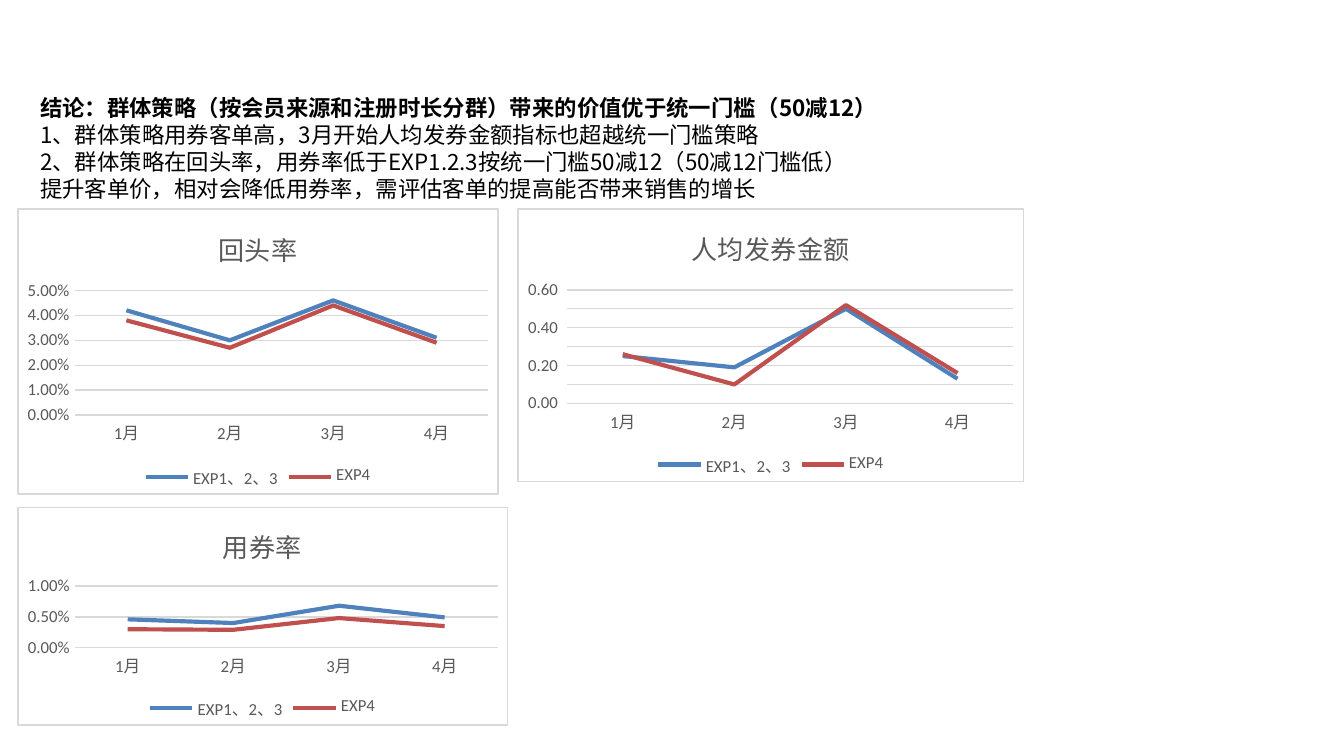
from lxml import etree
from pptx import Presentation
from pptx.chart.data import CategoryChartData
from pptx.dml.color import RGBColor
from pptx.enum.chart import XL_CHART_TYPE, XL_LEGEND_POSITION, XL_TICK_MARK
from pptx.enum.text import MSO_AUTO_SIZE
from pptx.oxml import parse_xml
from pptx.oxml.ns import nsdecls, qn
from pptx.util import Inches, Pt

BLACK = RGBColor(0x00, 0x00, 0x00)
GRAY = RGBColor(0x59, 0x59, 0x59)
LIGHT_GRAY = RGBColor(0xD9, 0xD9, 0xD9)
WHITE = RGBColor(0xFF, 0xFF, 0xFF)
BLUE = RGBColor(0x4F, 0x81, 0xBD)
RED = RGBColor(0xC0, 0x50, 0x4D)
TEXT_FONT = "Noto Sans CJK SC"
CHART_FONT = "Calibri"
SLIDE_WIDTH = Inches(10)
SLIDE_HEIGHT = SLIDE_WIDTH * 9 // 16

CONCLUSIONS = [
    "结论：群体策略（按会员来源和注册时长分群）带来的价值优于统一门槛（50减12）",
    "1、群体策略用券客单高，3月开始人均发券金额指标也超越统一门槛策略",
    "2、群体策略在回头率，用券率低于EXP1.2.3按统一门槛50减12（50减12门槛低）",
    "提升客单价，相对会降低用券率，需评估客单的提高能否带来销售的增长",
]
CONCLUSIONS_BOX = (0.2, 0.65, 9.15, 0.91)
MONTHS = ["1月", "2月", "3月", "4月"]
GROUPS = [("EXP1、2、3", BLUE), ("EXP4", RED)]
LEFT_COLUMN, RIGHT_COLUMN = 0.13, 3.85
TOP_ROW, BOTTOM_ROW = 1.55, 3.77
COUPON_USE = {
    "title": "用券率", "box": (LEFT_COLUMN, BOTTOM_ROW, 3.65, 1.63),
    "format": "0.00%", "maximum": 0.01, "unit": 0.005,
    "values": [(0.0046, 0.004, 0.0068, 0.0049), (0.003, 0.0029, 0.0048, 0.0035)],
}
RETURN_RATE = {
    "title": "回头率", "box": (LEFT_COLUMN, TOP_ROW, 3.58, 2.13),
    "format": "0.00%", "maximum": 0.05, "unit": 0.01,
    "values": [(0.042, 0.03, 0.046, 0.031), (0.038, 0.027, 0.044, 0.029)],
}
COUPON_AMOUNT = {
    "title": "人均发券金额", "box": (RIGHT_COLUMN, TOP_ROW, 3.77, 2.04),
    "format": "0.00_ ", "maximum": 0.6, "unit": 0.1,
    "values": [(0.25, 0.19, 0.5, 0.13), (0.26, 0.1, 0.52, 0.16)],
}


def set_attributes(target, values):
    for name, value in values.items():
        setattr(target, name, value)


def style_font(font, size, color, name=CHART_FONT, bold=False):
    set_attributes(font, {"name": name, "size": Pt(size), "bold": bold})
    font.color.rgb = color


def style_line(line, color, width):
    line.color.rgb = color
    line.width = Pt(width)


def frame_chart(chart):
    frame = parse_xml(
        f'<c:spPr {nsdecls("c", "a")}>'
        f'<a:solidFill><a:srgbClr val="{WHITE}"/></a:solidFill>'
        f'<a:ln w="{Pt(0.75)}"><a:solidFill><a:srgbClr val="{LIGHT_GRAY}"/>'
        '</a:solidFill></a:ln></c:spPr>'
    )
    chart.element.find(qn("c:txPr")).addprevious(frame)


def add_line_chart(slide, details):
    data = CategoryChartData(number_format=details["format"])
    data.categories = MONTHS
    for (name, _), values in zip(GROUPS, details["values"]):
        data.add_series(name, values)
    box = [Inches(length) for length in details["box"]]
    chart = slide.shapes.add_chart(XL_CHART_TYPE.LINE, *box, data).chart
    style_font(chart.font, 10, BLACK)
    frame_chart(chart)

    title_frame = chart.chart_title.text_frame
    title_frame.text = details["title"]
    style_font(title_frame.paragraphs[0].runs[0].font, 14, GRAY)

    chart.has_legend = True
    set_attributes(chart.legend, {
        "position": XL_LEGEND_POSITION.BOTTOM, "include_in_layout": False})
    style_font(chart.legend.font, 9, GRAY)

    value_axis = chart.value_axis
    for axis in (chart.category_axis, value_axis):
        set_attributes(axis, {
            "major_tick_mark": XL_TICK_MARK.NONE,
            "minor_tick_mark": XL_TICK_MARK.NONE})
        style_font(axis.tick_labels.font, 9, GRAY)
    style_line(chart.category_axis.format.line, LIGHT_GRAY, 0.75)
    set_attributes(value_axis, {
        "minimum_scale": 0, "maximum_scale": details["maximum"],
        "major_unit": details["unit"], "has_major_gridlines": True})
    value_axis.format.line.fill.background()
    style_line(value_axis.major_gridlines.format.line, LIGHT_GRAY, 0.75)
    set_attributes(value_axis.tick_labels, {
        "number_format": details["format"], "number_format_is_linked": False})

    plot = chart.plots[0]
    plot.vary_by_categories = False
    for series, (_, color) in zip(plot.series, GROUPS):
        series.smooth = False
        style_line(series.format.line, color, 2.25)


def add_conclusions(slide):
    box = [Inches(length) for length in CONCLUSIONS_BOX]
    frame = slide.shapes.add_textbox(*box).text_frame
    set_attributes(frame, {
        "word_wrap": True, "auto_size": MSO_AUTO_SIZE.SHAPE_TO_FIT_TEXT})
    for index, text in enumerate(CONCLUSIONS):
        paragraph = frame.add_paragraph() if index else frame.paragraphs[0]
        paragraph.line_spacing = Pt(14.5)
        run = paragraph.add_run()
        run.text = text
        style_font(run.font, 12, BLACK, TEXT_FONT, bold=index == 0)
        properties = run._r.get_or_add_rPr()
        etree.SubElement(properties, qn("a:ea"), typeface=TEXT_FONT)


def main():
    presentation = Presentation()
    set_attributes(presentation, {
        "slide_width": SLIDE_WIDTH, "slide_height": SLIDE_HEIGHT})
    slide = presentation.slides.add_slide(presentation.slide_layouts[6])
    add_line_chart(slide, COUPON_USE)
    add_conclusions(slide)
    for details in (RETURN_RATE, COUPON_AMOUNT):
        add_line_chart(slide, details)
    presentation.save("out.pptx")


if __name__ == "__main__":
    main()
